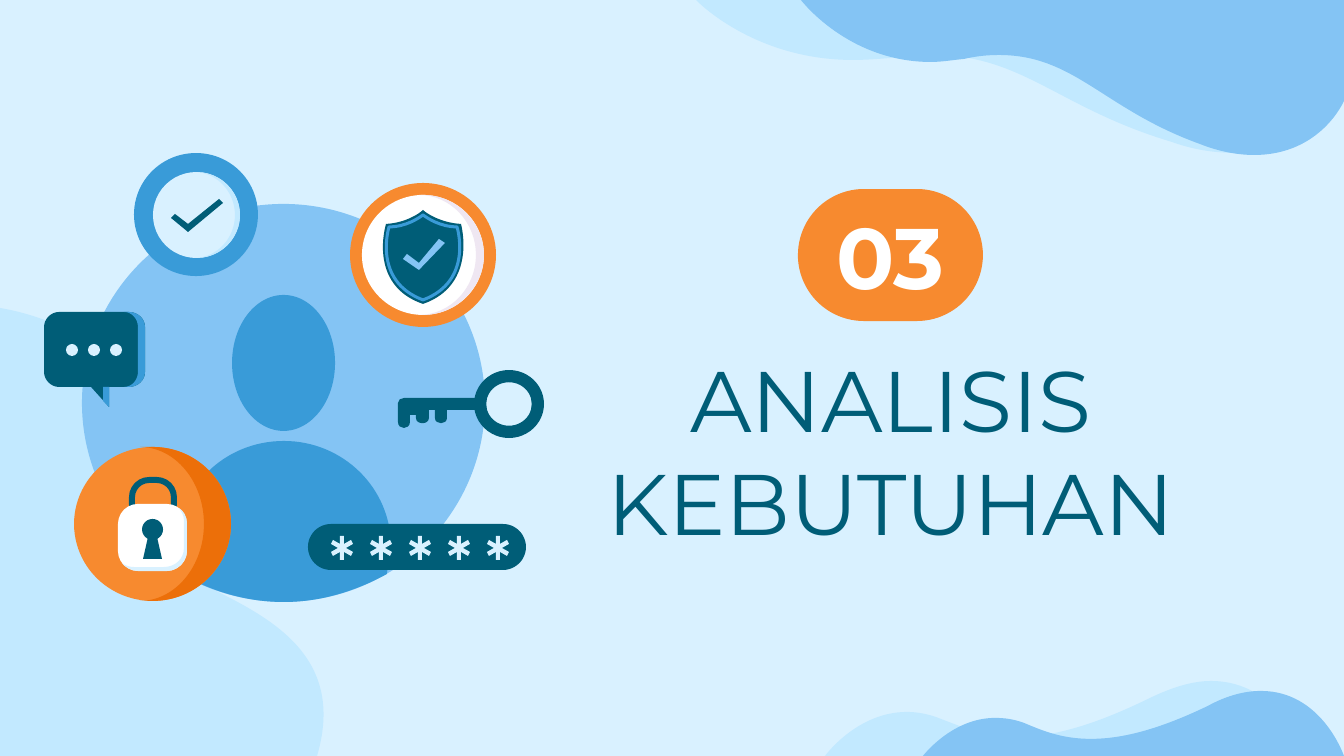
from lxml import etree
from pptx import Presentation
from pptx import util as u
from pptx.dml.color import RGBColor
from pptx.enum import shapes, text
from pptx.oxml.ns import qn

PX = 914400 / 134.4
KAPPA = 0.55  # control distance of a quarter ellipse
FONT = "Montserrat"
PALE, LIGHT, SKY, BLUE, TEAL = "D9F1FF", "C2E9FF", "84C4F4", "399BD8", "005D77"
ORANGE, RUST, WHITE, LILAC = "F78A2F", "EC6F09", "FFFFFF", "EFE7F2"
OVAL = shapes.MSO_SHAPE.OVAL
ROUND = shapes.MSO_SHAPE.ROUNDED_RECTANGLE
DONUT = shapes.MSO_SHAPE.DONUT


def emu(px):
    return u.Emu(round(px * PX))


def rgb(color):
    return RGBColor.from_string(color)


def paint(sp, color, line=0):
    """Fill the shape, or only stroke it when a line width is given."""
    sp.shadow.inherit = False
    if line:
        sp.fill.background()
        sp.line.color.rgb = rgb(color)
        sp.line.width = emu(line)
    else:
        sp.fill.solid()
        sp.fill.fore_color.rgb = rgb(color)
        sp.line.fill.background()


def preset(s, kind, box, color, adj=None, line=0):
    sp = s.add_shape(kind, *map(emu, box))
    if adj is not None:
        sp.adjustments[0] = adj
    paint(sp, color, line)


def bend(segment, step, left, top):
    """Turn a straight path segment into a cubic curve."""
    segment.tag = qn("a:cubicBezTo")
    for pt in list(segment):
        segment.remove(pt)
    for x, y in zip(step[::2], step[1::2]):
        etree.SubElement(segment, qn("a:pt"), x=str(emu(x) - left), y=str(emu(y) - top))


def outline(s, color, *steps, line=0):
    """Draw a closed outline; a step is a point (2 numbers) or a cubic curve (6)."""
    pts = [tuple(map(emu, step[-2:])) for step in steps]
    fb = s.build_freeform(*pts[0], scale=1.0)
    fb.add_line_segments(pts[1:], close=True)
    sp = fb.convert_to_shape()
    left, top = (min(values) for values in zip(*pts))
    segments = list(sp._element.iter(qn("a:lnTo")))
    for segment, step in zip(segments, steps[1:]):
        if len(step) == 6:
            bend(segment, step, left, top)
    paint(sp, color, line)


def crescent(s, color, tip, inner, cx, outer, top, bottom):
    """Shade the right rim of a disc between two half ellipses."""
    mid = (top + bottom) / 2
    h = (bottom - top) / 2 * KAPPA
    a, b = (inner - tip) * KAPPA, (outer - cx) * KAPPA
    outline(s, color, (tip, top),
            (tip + a, top, inner, mid - h, inner, mid),
            (inner, mid + h, tip + a, bottom, tip, bottom),
            (cx, bottom),
            (cx + b, bottom, outer, mid + h, outer, mid),
            (outer, mid - h, cx + b, top, cx, top))


def asterisk(s, cx, cy):
    half = [(-2, -12), (-2, -4), (-9, -8), (-11, -4), (-4, 0),
            (-11, 4), (-9, 8), (-2, 4), (-2, 12)]
    pts = half + [(-x, -y) for x, y in half]
    outline(s, PALE, *[(cx + x, cy + y) for x, y in pts])


def title(s, box, words, color, bold=False):
    tf = s.add_textbox(*map(emu, box)).text_frame
    tf.word_wrap = True
    tf.vertical_anchor = text.MSO_ANCHOR.MIDDLE
    tf.margin_left = tf.margin_right = u.Inches(0.1)
    tf.margin_top = tf.margin_bottom = u.Inches(0.1)
    p = tf.paragraphs[0]
    p.alignment = text.PP_ALIGN.CENTER
    r = p.add_run()
    r.text = words
    r.font.name, r.font.size, r.font.bold = FONT, u.Pt(46), bold
    r.font.color.rgb = rgb(color)


def waves(s):
    outline(s, LIGHT, (0, 308), (0, 308, 120, 325, 125, 407),
            (130, 491, 106, 515, 155, 556), (203, 598, 357, 621, 317, 756), (0, 756))
    outline(s, LIGHT, (1211, 681), (1281, 681, 1306, 756, 1306, 756), (825, 756),
            (825, 756, 857, 712, 907, 712), (917, 712, 929, 714, 941, 719),
            (962, 727, 985, 737, 1017, 737), (1050, 737, 1091, 727, 1150, 698),
            (1173, 687, 1193, 681, 1211, 681))
    outline(s, SKY, (1261, 691), (1322, 691, 1344, 756, 1344, 756), (923, 756),
            (923, 756, 952, 718, 995, 718), (1004, 718, 1013, 719, 1024, 723),
            (1043, 731, 1062, 739, 1091, 739), (1120, 739, 1156, 731, 1208, 706),
            (1228, 695, 1246, 691, 1261, 691))
    outline(s, LIGHT, (1344, 0), (1344, 99), (1344, 99, 1316, 153, 1238, 153),
            (1219, 153, 1197, 151, 1172, 142), (1058, 108, 1023, 55, 933, 55),
            (921, 55, 906, 55, 891, 58), (878, 59, 866, 60, 853, 60),
            (753, 60, 696, 0, 696, 0))
    outline(s, SKY, (1344, 0), (1344, 101), (1344, 101, 1321, 155, 1254, 155),
            (1239, 155, 1220, 152, 1200, 144), (1103, 109, 1075, 55, 999, 55),
            (988, 55, 977, 56, 964, 59), (953, 60, 942, 62, 931, 62),
            (848, 62, 801, 0, 801, 0))


def user(s):
    preset(s, OVAL, (82, 204, 403, 398), SKY)
    preset(s, OVAL, (232, 295, 103, 136), BLUE)
    outline(s, BLUE, (284, 441), (224, 441, 177, 488, 177, 546),
            (177, 555, 179, 564, 181, 574), (211, 591, 246, 602, 284, 602),
            (321, 602, 356, 591, 387, 574), (388, 564, 391, 555, 391, 546),
            (391, 488, 343, 441, 284, 441))


def key(s):
    preset(s, DONUT, (474, 370, 70, 68), TEAL, 0.18)
    outline(s, TEAL, (480, 398), (404, 398), (401, 398, 398, 400, 398, 403),
            (398, 422), (398, 430, 410, 430, 410, 422), (410, 415), (416, 415),
            (416, 418), (416, 425, 429, 425, 429, 418), (429, 410), (435, 410),
            (435, 418), (435, 425, 447, 425, 447, 418), (447, 410), (480, 410))


def padlock(s):
    preset(s, OVAL, (74, 447, 157, 154), ORANGE)
    crescent(s, RUST, 140, 204, 153, 231, 447, 601)
    preset(s, ROUND, (132, 480, 42, 41), TEAL, 0.42, line=6)
    preset(s, ROUND, (118, 504, 69, 67), WHITE, 0.3)
    outline(s, PALE, (179, 508), (181, 511, 184, 515, 184, 520), (184, 548),
            (184, 559, 175, 567, 164, 567), (134, 567),
            (130, 567, 126, 566, 122, 563), (126, 568, 132, 571, 138, 571),
            (167, 571), (177, 571, 187, 562, 187, 551), (187, 523),
            (187, 517, 184, 511, 179, 508))
    preset(s, OVAL, (142, 519, 21, 21), TEAL)
    outline(s, TEAL, (148, 537), (143, 559), (162, 559), (157, 537))


def chat_bubble(s):
    right_edge = [(129, 387), (138, 387, 145, 380, 145, 372), (145, 327),
                  (145, 319, 138, 312, 129, 312)]
    outline(s, TEAL, (59, 312), (51, 312, 44, 319, 44, 327), (44, 372),
            (44, 380, 51, 387, 59, 387), (91, 387), (109, 407), (109, 387),
            *right_edge)
    for i in range(3):
        preset(s, OVAL, (66 + 22 * i, 344, 12, 12), PALE)
    outline(s, BLUE, (103, 387), (103, 401), (109, 407), (109, 387))
    outline(s, BLUE, (124, 312), (132, 312, 138, 319, 138, 327), (138, 372),
            (138, 380, 132, 387, 124, 387), *right_edge)


def password(s):
    preset(s, ROUND, (308, 524, 218, 46), TEAL, 0.5)
    for i in range(5):
        asterisk(s, 342 + 39 * i, 548)


def check_badge(s):
    preset(s, OVAL, (134, 153, 124, 123), BLUE)
    preset(s, OVAL, (153, 172, 87, 86), PALE)
    crescent(s, LIGHT, 194, 235, 196, 240, 172, 258)
    outline(s, TEAL, (219, 199), (188, 224), (175, 214), (171, 218),
            (188, 232), (223, 203))


def shield_badge(s):
    preset(s, OVAL, (350, 183, 146, 144), ORANGE)
    preset(s, OVAL, (362, 195, 122, 120), WHITE)
    crescent(s, LILAC, 419, 476, 423, 484, 195, 315)
    outline(s, TEAL, (423, 210), (419, 214, 405, 223, 386, 224),
            (386, 224, 367, 285, 423, 304), (478, 285, 461, 224, 461, 224),
            (442, 223, 427, 214, 423, 210))
    outline(s, BLUE, (423, 215), (419, 218, 406, 227, 389, 227),
            (389, 227, 372, 281, 423, 300), (474, 281, 457, 227, 457, 227),
            (440, 227, 427, 218, 423, 215), line=3)
    outline(s, SKY, (439, 239), (419, 263), (407, 254), (403, 259),
            (419, 270), (445, 243))


def main():
    prs = Presentation()
    prs.slide_width, prs.slide_height = emu(1344), emu(756)
    slide = prs.slides.add_slide(prs.slide_layouts[6])
    slide.background.fill.solid()
    slide.background.fill.fore_color.rgb = rgb(PALE)
    s = slide.shapes
    waves(s)
    number_box = (798, 189, 185, 132)
    preset(s, ROUND, number_box, ORANGE, 0.5)
    title(s, number_box, "03", WHITE, bold=True)
    title(s, (507, 332, 767, 235), "ANALISIS KEBUTUHAN", TEAL)
    art = s.add_group_shape().shapes
    for draw in (user, key, padlock, chat_bubble, password, check_badge, shield_badge):
        draw(art)
    prs.save("out.pptx")


if __name__ == "__main__":
    main()
